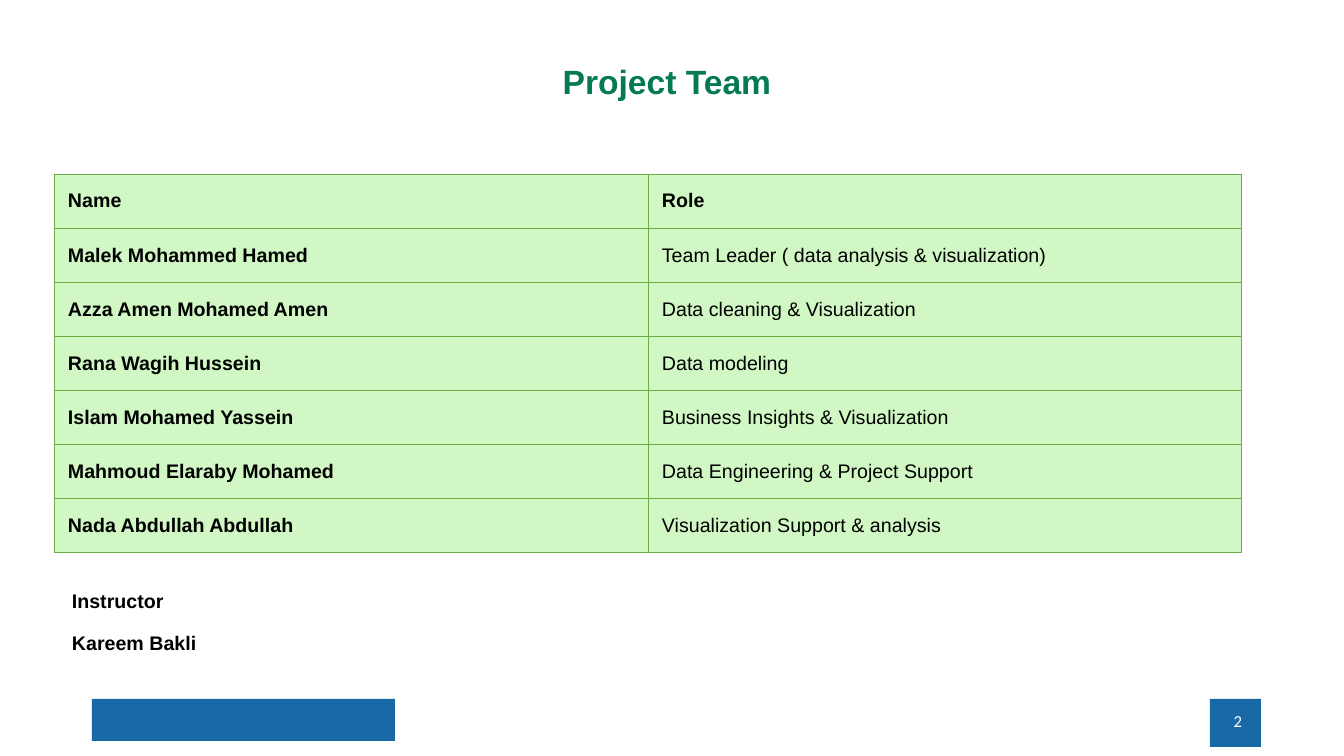
from dataclasses import dataclass

from lxml.etree import SubElement
from pptx import Presentation
from pptx.dml.color import RGBColor as RGB
from pptx.enum.shapes import MSO_SHAPE as SHAPE
from pptx.enum.text import MSO_ANCHOR as ANCHOR, PP_ALIGN as ALIGN
from pptx.oxml.ns import qn
from pptx.util import Pt

PX = 914400 / 100.8


@dataclass(frozen=True)
class Theme:
    title: str = "047954"
    ink: str = "000000"
    cell: str = "D0F7C4"
    border: str = "6DAC43"
    bar: str = "1869A6"
    page: str = "FFFFFF"
    font: str = "Arial"
    page_font: str = "Calibri"
    title_size: int = 24
    body_size: int = 14
    page_size: int = 12
    border_width: float = 0.75


THEME = Theme()

TEAM = [
    ("Name", "Role"),
    ("Malek Mohammed Hamed", "Team Leader ( data analysis & visualization)"),
    ("Azza Amen Mohamed Amen", "Data cleaning & Visualization"),
    ("Rana Wagih Hussein", "Data modeling"),
    ("Islam Mohamed Yassein", "Business Insights & Visualization"),
    ("Mahmoud Elaraby Mohamed", "Data Engineering & Project Support"),
    ("Nada Abdullah Abdullah", "Visualization Support & analysis"),
]


def px(*lengths):
    return [round(length * PX) for length in lengths]


def style(paragraph, size, color, bold=False, font=THEME.font):
    for run in paragraph.runs:
        run.font.name = font
        run.font.size = Pt(size)
        run.font.bold = bold
        run.font.color.rgb = RGB.from_string(color)


def add_text(slide, box, text, wrap=True):
    frame = slide.shapes.add_textbox(*px(*box)).text_frame
    frame.word_wrap = wrap
    frame.text = text
    return frame


def add_bar(slide, box):
    bar = slide.shapes.add_shape(SHAPE.RECTANGLE, *px(*box))
    bar.shadow.inherit = False
    bar.fill.solid()
    bar.fill.fore_color.rgb = RGB.from_string(THEME.bar)
    bar.line.fill.background()


def add_borders(cell):
    # Borders come before the fill inside the cell properties
    properties = cell._tc.get_or_add_tcPr()
    for index, side in enumerate(("a:lnL", "a:lnR", "a:lnT", "a:lnB")):
        line = SubElement(properties, qn(side), w=str(Pt(THEME.border_width)))
        fill = SubElement(line, qn("a:solidFill"))
        SubElement(fill, qn("a:srgbClr"), val=THEME.border)
        properties.insert(index, line)


def add_title(slide, box):
    title = add_text(slide, box, "Project Team", wrap=False).paragraphs[0]
    title.alignment = ALIGN.CENTER
    style(title, THEME.title_size, THEME.title, bold=True)


def add_team_table(slide, box):
    table = slide.shapes.add_table(len(TEAM), len(TEAM[0]), *px(*box)).table
    table.horz_banding = False
    side_margin, edge_margin = px(14, 6)
    for row, member in enumerate(TEAM):
        for column, text in enumerate(member):
            cell = table.cell(row, column)
            cell.text = text
            cell.vertical_anchor = ANCHOR.MIDDLE
            cell.margin_left = cell.margin_right = side_margin
            cell.margin_top = cell.margin_bottom = edge_margin
            cell.fill.solid()
            cell.fill.fore_color.rgb = RGB.from_string(THEME.cell)
            add_borders(cell)
            style(cell.text_frame.paragraphs[0], THEME.body_size, THEME.ink,
                  bold=row == 0 or column == 0)


def add_instructor(slide, box):
    frame = add_text(slide, box, "Instructor\nKareem Bakli")
    for paragraph in frame.paragraphs:
        paragraph.line_spacing = 1.07
        paragraph.space_after = Pt(12)
        style(paragraph, THEME.body_size, THEME.ink, bold=True)
    frame.paragraphs[0].space_before = Pt(18)


def add_footer(slide, box):
    left, top, width, height = box
    add_bar(slide, (left, top, 303, 42))
    add_bar(slide, (left + width - 51, top, 51, height))
    # Page number, right-aligned over the small bar
    frame = add_text(slide, (left + width - 311, top + 2, 302, 40), "2")
    frame.vertical_anchor = ANCHOR.MIDDLE
    number = frame.paragraphs[0]
    number.alignment = ALIGN.RIGHT
    style(number, THEME.page_size, THEME.page, font=THEME.page_font)


def main():
    deck = Presentation()
    deck.slide_width, deck.slide_height = px(1344, 756)
    slide = deck.slides.add_slide(deck.slide_layouts[6])
    add_footer(slide, (92, 699, 1169, 48))
    add_title(slide, (546, 56, 242, 50))
    add_team_table(slide, (54, 174, 1188, 379))
    add_instructor(slide, (62, 582, 174, 75))
    deck.save("out.pptx")


if __name__ == "__main__":
    main()
